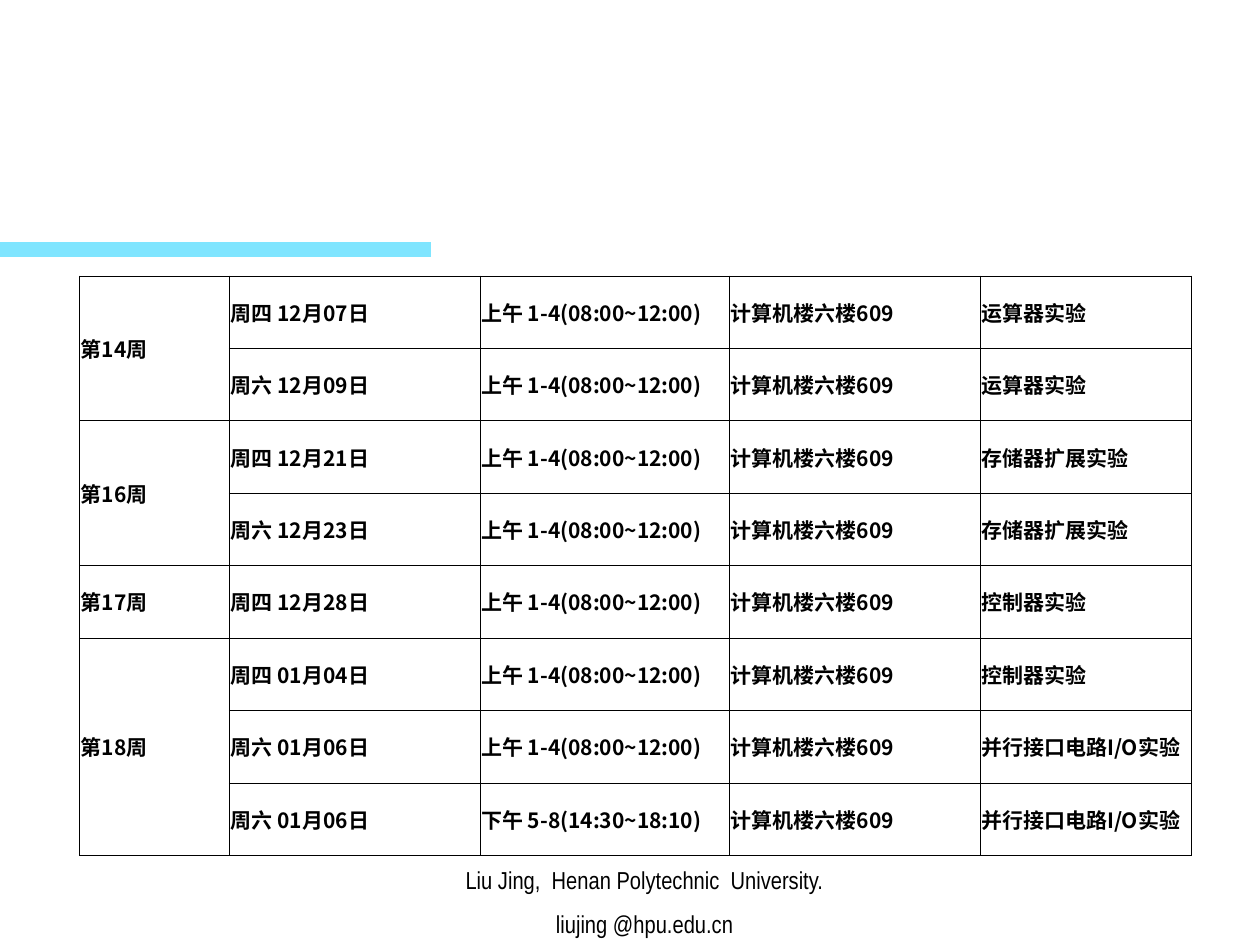
from dataclasses import dataclass

from lxml import etree
from pptx import Presentation
from pptx import util as u
from pptx.dml import color
from pptx.enum import shapes, text
from pptx.oxml import ns


@dataclass(frozen=True)
class Theme:
    ink: str = "000000"
    accent: str = "00CCFF"
    accent_alpha: int = 50000
    schedule_font: str = "Noto Sans CJK SC"
    schedule_size: int = 12
    footer_font: str = "Arial Narrow"
    footer_size: int = 14
    border_width: float = 0.23


THEME = Theme()
MORNING = "上午 1-4(08:00~12:00)"
AFTERNOON = "下午 5-8(14:30~18:10)"
ROOM = "计算机楼六楼609"
WEEKS = {
    "第14周": [("周四 12月07日", MORNING, "运算器实验"),
             ("周六 12月09日", MORNING, "运算器实验")],
    "第16周": [("周四 12月21日", MORNING, "存储器扩展实验"),
             ("周六 12月23日", MORNING, "存储器扩展实验")],
    "第17周": [("周四 12月28日", MORNING, "控制器实验")],
    "第18周": [("周四 01月04日", MORNING, "控制器实验"),
             ("周六 01月06日", MORNING, "并行接口电路I/O实验"),
             ("周六 01月06日", AFTERNOON, "并行接口电路I/O实验")],
}
COLUMN_WIDTHS = (3.02, 5.05, 5.03, 5.05, 4.27)
ROW_HEIGHT = 1.46
FOOTER_LINES = ("Liu Jing,  Henan Polytechnic  University.", "liujing @hpu.edu.cn")

CELL_FORMAT = {
    "vertical_anchor": text.MSO_ANCHOR.MIDDLE,
    "margin_left": u.Cm(0.03), "margin_right": u.Cm(0.03),
    "margin_top": u.Cm(0.13), "margin_bottom": u.Cm(0.13),
}
SCHEDULE_FONT = {"name": THEME.schedule_font, "size": u.Pt(THEME.schedule_size), "bold": True}
FOOTER_FONT = {"name": THEME.footer_font, "size": u.Pt(THEME.footer_size)}


def apply_format(target, values):
    for name, value in values.items():
        setattr(target, name, value)


def write(paragraph, words, font_format):
    run = paragraph.add_run()
    run.text = words
    run.font.color.rgb = color.RGBColor.from_string(THEME.ink)
    apply_format(run.font, font_format)
    etree.SubElement(run.font._element, ns.qn("a:ea"), typeface=font_format["name"])


def add_accent_bar(slide):
    bar = slide.shapes.add_shape(shapes.MSO_SHAPE.RECTANGLE, 0, u.Cm(4.88), u.Cm(8.69), u.Cm(0.3))
    bar.shadow.inherit = False
    bar.line.fill.background()
    bar.fill.solid()
    bar.fill.fore_color.rgb = color.RGBColor.from_string(THEME.accent)
    tint = bar.fill._xPr.find(".//" + ns.qn("a:srgbClr"))
    etree.SubElement(tint, ns.qn("a:alpha"), val=str(THEME.accent_alpha))


def add_footer(slide):
    footer = slide.shapes.add_textbox(u.Cm(7.7), u.Cm(17.15), u.Cm(10.59), u.Cm(1.9)).text_frame
    apply_format(footer, {"word_wrap": True, "vertical_anchor": text.MSO_ANCHOR.BOTTOM})
    for index, words in enumerate(FOOTER_LINES):
        line = footer.add_paragraph() if index else footer.paragraphs[0]
        apply_format(line, {"alignment": text.PP_ALIGN.CENTER,
                            "space_before": u.Pt(8.8 if index else 0)})
        write(line, words, FOOTER_FONT)


def format_cell(cell):
    apply_format(cell, CELL_FORMAT)
    properties = cell._tc.get_or_add_tcPr()
    for side in ("lnL", "lnR", "lnT", "lnB"):
        border = etree.SubElement(properties, ns.qn(f"a:{side}"), w=str(u.Pt(THEME.border_width)))
        fill = etree.SubElement(border, ns.qn("a:solidFill"))
        etree.SubElement(fill, ns.qn("a:srgbClr"), val=THEME.ink)
    cell.fill.background()


def add_schedule(slide):
    row_count = sum(len(sessions) for sessions in WEEKS.values())
    schedule = slide.shapes.add_table(
        row_count, len(COLUMN_WIDTHS), u.Cm(1.6), u.Cm(5.56),
        u.Cm(sum(COLUMN_WIDTHS)), u.Cm(ROW_HEIGHT * row_count)).table
    apply_format(schedule, {"first_row": False, "horz_banding": False})
    for column, width in zip(schedule.columns, COLUMN_WIDTHS):
        column.width = u.Cm(width)
    for row in schedule.rows:
        row.height = u.Cm(ROW_HEIGHT)
    for cell in schedule.iter_cells():
        format_cell(cell)

    first = 0
    for week, sessions in WEEKS.items():
        week_cell = schedule.cell(first, 0)
        write(week_cell.text_frame.paragraphs[0], week, SCHEDULE_FONT)
        if len(sessions) > 1:
            week_cell.merge(schedule.cell(first + len(sessions) - 1, 0))
        for row, (date, time, experiment) in enumerate(sessions, first):
            for column, words in enumerate((date, time, ROOM, experiment), 1):
                write(schedule.cell(row, column).text_frame.paragraphs[0], words, SCHEDULE_FONT)
        first += len(sessions)


def main():
    deck = Presentation()
    apply_format(deck, {"slide_width": u.Cm(25.4), "slide_height": u.Cm(19.05)})
    slide = deck.slides.add_slide(deck.slide_layouts.get_by_name("Blank"))
    add_accent_bar(slide)
    add_footer(slide)
    add_schedule(slide)
    deck.save("out.pptx")


if __name__ == "__main__":
    main()
